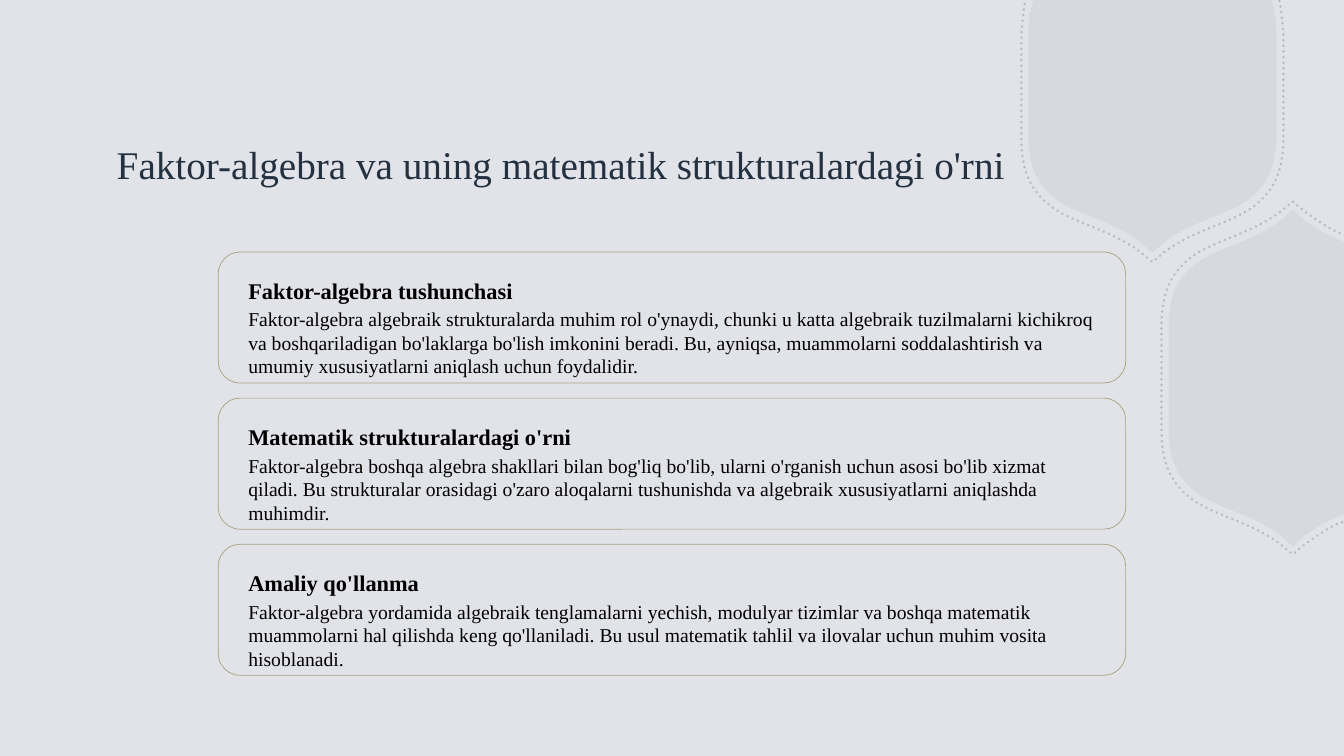
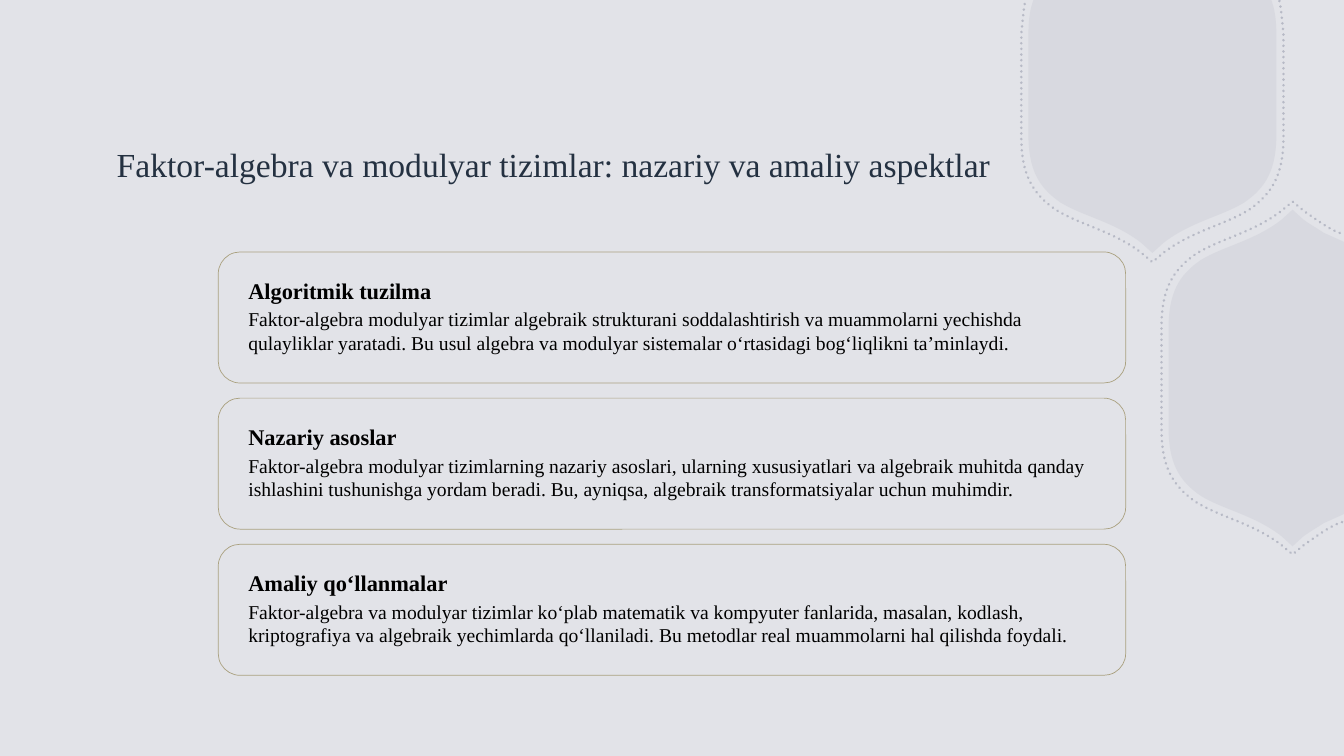
from lxml.etree import SubElement
from pptx import Presentation
from pptx.dml.color import RGBColor
from pptx.enum.dml import MSO_LINE
from pptx.enum.shapes import MSO_SHAPE as Preset
from pptx.enum.text import MSO_ANCHOR as Anchor, MSO_AUTO_SIZE as AutoSize
from pptx.oxml.ns import qn
from pptx.util import Inches, Pt

# Shared look
WIDTH, HEIGHT = 13.33, 7.5
FONT = "Times New Roman"
BACKDROP, BADGE, CARD_EDGE = "E2E3E8", "A2A5B5", "AAA180"
TITLE_COLOR, TEXT_COLOR = "243141", "000000"

# Card column
CARD_TOP, CARD_WIDTH, CARD_HEIGHT = 2.5, 9, 1.3
CARD_LEFT = (WIDTH - CARD_WIDTH) / 2
CARD_STEP, CARD_PAD = 1.45, 0.2
HEADING_HEIGHT, BODY_HEIGHT = 0.3, 0.8

# Badge corners from tip to side, as (across, up from tip); L is a line, C a curve
CORNER_KINDS = "LCC"
FILL_CORNER = [(0, 0), (0.11, 0.1), (0.38, 0.31), (0.68, 0.36), (0.91, 0.5),
               (1.13, 0.65), (1.23, 0.83), (1.23, 1.18)]
DOTS_CORNER = [(0, 0), (0.12, 0.1), (0.4, 0.31), (0.72, 0.37), (0.96, 0.52),
               (1.19, 0.68), (1.3, 0.87), (1.3, 1.24)]

# Where the slide's edges cut the badges, measured from the bottom tip
FILL_TOP_CUT = ("LCL", [(1.18, 2.51), (1.19, 2.48), (1.22, 2.39), (1.23, 2.28), (1.23, 2.15)])
DOTS_TOP_CUT = ("CL", [(1.26, 2.59), (1.28, 2.51), (1.29, 2.34), (1.3, 2.27)])
FILL_SIDE_CUT = ("LCL", [(0.51, 0.32), (0.31, 0.23), (0.25, 0.19), (0.18, 0.15), (0.11, 0.1)])
DOTS_SIDE_CUT = ("CL", [(0.49, 0.32), (0.36, 0.28), (0.2, 0.15), (0.12, 0.1)])

# Bottom tips, and the line that mirrors the side badge
TOP_BADGE_X, SIDE_BADGE_X, SIDE_BADGE_MIDDLE = 11.43, 12.82, 3.75
TOP_FILL_TIP, TOP_DOTS_TIP = 2.51, 2.6
SIDE_FILL_TIP, SIDE_DOTS_TIP = 5.42, 5.5

DECK = [
    ("Faktor-algebra va uning matematik strukturalardagi o'rni", 28, [
        ("Faktor-algebra tushunchasi",
         "Faktor-algebra algebraik strukturalarda muhim rol o'ynaydi, chunki u katta "
         "algebraik tuzilmalarni kichikroq va boshqariladigan bo'laklarga bo'lish "
         "imkonini beradi. Bu, ayniqsa, muammolarni soddalashtirish va umumiy "
         "xususiyatlarni aniqlash uchun foydalidir."),
        ("Matematik strukturalardagi o'rni",
         "Faktor-algebra boshqa algebra shakllari bilan bog'liq bo'lib, ularni "
         "o'rganish uchun asosi bo'lib xizmat qiladi. Bu strukturalar orasidagi "
         "o'zaro aloqalarni tushunishda va algebraik xususiyatlarni aniqlashda "
         "muhimdir."),
        ("Amaliy qo'llanma",
         "Faktor-algebra yordamida algebraik tenglamalarni yechish, modulyar tizimlar "
         "va boshqa matematik muammolarni hal qilishda keng qo'llaniladi. Bu usul "
         "matematik tahlil va ilovalar uchun muhim vosita hisoblanadi."),
    ]),
    ("Faktor-algebra va modulyar tizimlar: nazariy va amaliy aspektlar", 24, [
        ("Algoritmik tuzilma",
         "Faktor-algebra modulyar tizimlar algebraik strukturani soddalashtirish va "
         "muammolarni yechishda qulayliklar yaratadi. Bu usul algebra va modulyar "
         "sistemalar o‘rtasidagi bog‘liqlikni ta’minlaydi."),
        ("Nazariy asoslar",
         "Faktor-algebra modulyar tizimlarning nazariy asoslari, ularning "
         "xususiyatlari va algebraik muhitda qanday ishlashini tushunishga yordam "
         "beradi. Bu, ayniqsa, algebraik transformatsiyalar uchun muhimdir."),
        ("Amaliy qo‘llanmalar",
         "Faktor-algebra va modulyar tizimlar ko‘plab matematik va kompyuter "
         "fanlarida, masalan, kodlash, kriptografiya va algebraik yechimlarda "
         "qo‘llaniladi. Bu metodlar real muammolarni hal qilishda foydali."),
    ]),
]


def color(hex_code):
    return RGBColor.from_string(hex_code)


def set_opacity(shape, percent):
    for tint in shape._element.spPr.iter(qn("a:srgbClr")):
        SubElement(tint, qn("a:alpha")).set("val", str(percent * 1000))


# Badge geometry
def top_badge(corner, cut, tip):
    """Right half from the slide's top edge to the tip, then its mirror."""
    cut_kinds, cut_points = cut
    half = [(x, tip - up) for x, up in cut_points + corner[::-1]]
    kinds = cut_kinds + CORNER_KINDS[::-1]
    points = half + [(-x, y) for x, y in half[-2::-1]]
    return [(TOP_BADGE_X + x, y) for x, y in points], kinds + kinds[::-1]


def side_badge(corner, cut, tip):
    """Lower half from the slide's right edge to the left side, then its mirror."""
    cut_kinds, cut_points = cut
    offsets = cut_points + [(-x, up) for x, up in corner]
    half = [(SIDE_BADGE_X + x, tip - up) for x, up in offsets]
    kinds = cut_kinds + CORNER_KINDS
    points = half + [(x, 2 * SIDE_BADGE_MIDDLE - y) for x, y in half[::-1]]
    return points, kinds + "L" + kinds[::-1]


def add_outline(slide, points, kinds, close):
    points = [(Inches(x), Inches(y)) for x, y in points]
    builder = slide.shapes.build_freeform(*points[0])
    builder.add_line_segments(points[1:], close=close)
    shape = builder.convert_to_shape()
    shape.shadow.inherit = False
    # Each curve takes three points: two controls and an end
    segments = iter(list(shape._element.iter(qn("a:lnTo"))))
    for kind in kinds:
        segment = next(segments)
        if kind == "C":
            segment.tag = qn("a:cubicBezTo")
            for _ in range(2):
                extra = next(segments)
                segment.append(extra[0])
                extra.getparent().remove(extra)
    return shape


def add_badge_fill(slide, points, kinds):
    badge = add_outline(slide, points, kinds, close=True)
    badge.fill.solid()
    badge.fill.fore_color.rgb = color(BADGE)
    badge.line.fill.background()
    set_opacity(badge, 15)


def add_badge_dots(slide, points, kinds):
    dots = add_outline(slide, points, kinds, close=False)
    dots.fill.background()
    dots.line.color.rgb = color(BADGE)
    dots.line.width = Pt(2)
    dots.line.dash_style = MSO_LINE.ROUND_DOT
    dots._element.spPr.find(qn("a:ln")).set("cap", "rnd")
    set_opacity(dots, 65)


def add_badges(slide):
    add_badge_fill(slide, *top_badge(FILL_CORNER, FILL_TOP_CUT, TOP_FILL_TIP))
    add_badge_fill(slide, *side_badge(FILL_CORNER, FILL_SIDE_CUT, SIDE_FILL_TIP))
    add_badge_dots(slide, *top_badge(DOTS_CORNER, DOTS_TOP_CUT, TOP_DOTS_TIP))
    add_badge_dots(slide, *side_badge(DOTS_CORNER, DOTS_SIDE_CUT, SIDE_DOTS_TIP))


# Text and cards
def add_text(slide, text, left, top, width, height, size,
             ink=TEXT_COLOR, bold=False, anchor=Anchor.TOP, fit=AutoSize.SHAPE_TO_FIT_TEXT):
    box = slide.shapes.add_textbox(Inches(left), Inches(top), Inches(width), Inches(height))
    frame = box.text_frame
    frame.word_wrap = True
    frame.auto_size = fit
    frame.vertical_anchor = anchor
    run = frame.paragraphs[0].add_run()
    run.text = text
    run.font.name = FONT
    run.font.size = Pt(size)
    run.font.bold = bold
    run.font.color.rgb = color(ink)


def add_card(slide, top, heading, body):
    card = slide.shapes.add_shape(Preset.ROUNDED_RECTANGLE, Inches(CARD_LEFT), Inches(top),
                                  Inches(CARD_WIDTH), Inches(CARD_HEIGHT))
    card.shadow.inherit = False
    card.fill.background()
    card.line.color.rgb = color(CARD_EDGE)
    card.line.width = Pt(0.5)
    left, width = CARD_LEFT + CARD_PAD, CARD_WIDTH - 2 * CARD_PAD
    heading_top = top + CARD_PAD
    add_text(slide, heading, left, heading_top, width, HEADING_HEIGHT, 16, bold=True)
    add_text(slide, body, left, heading_top + HEADING_HEIGHT, width, BODY_HEIGHT, 14)


def add_topic_slide(prs, title, title_size, cards):
    slide = prs.slides.add_slide(prs.slide_layouts[6])
    add_badges(slide)
    add_text(slide, title, 1.06, 1.05, 9.93, 1.16, title_size, ink=TITLE_COLOR,
             anchor=Anchor.MIDDLE, fit=AutoSize.NONE)
    for row, (heading, body) in enumerate(cards):
        add_card(slide, CARD_TOP + row * CARD_STEP, heading, body)


def main():
    prs = Presentation()
    prs.slide_width, prs.slide_height = Inches(WIDTH), Inches(HEIGHT)
    backdrop = prs.slide_master.background.fill
    backdrop.solid()
    backdrop.fore_color.rgb = color(BACKDROP)
    for title, title_size, cards in DECK:
        add_topic_slide(prs, title, title_size, cards)
    prs.save("out.pptx")


if __name__ == "__main__":
    main()
